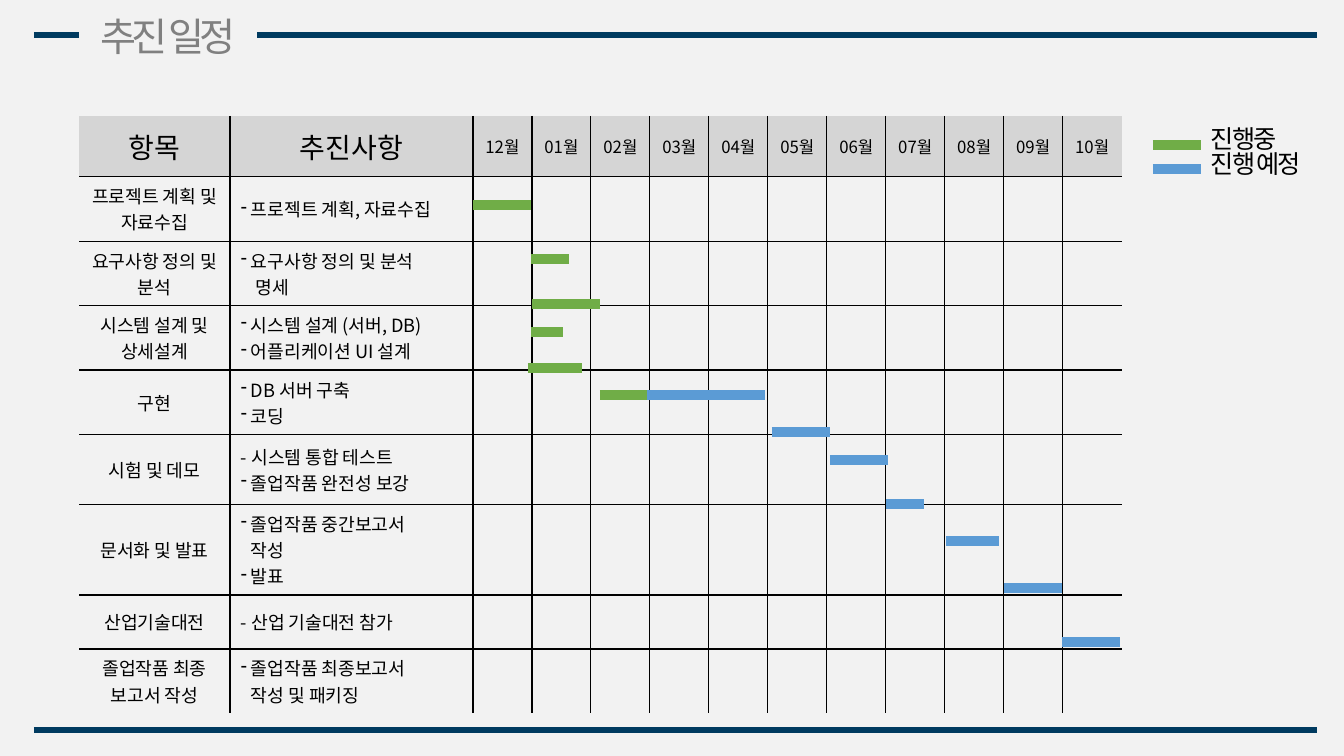
from lxml import etree
from pptx import Presentation
from pptx.dml.color import RGBColor
from pptx.enum.shapes import MSO_CONNECTOR, MSO_SHAPE
from pptx.enum.text import MSO_ANCHOR, PP_ALIGN
from pptx.oxml.ns import qn
from pptx.util import Pt

PX = 914400 / 100.8
FONT = "Noto Sans CJK KR"
LEFT, CENTER = PP_ALIGN.LEFT, PP_ALIGN.CENTER
MIDDLE, TOP = MSO_ANCHOR.MIDDLE, MSO_ANCHOR.TOP
STRAIGHT = MSO_CONNECTOR.STRAIGHT
RECTANGLE = MSO_SHAPE.RECTANGLE

PAPER, HEADER, BLACK, GRAY, NAVY = "F2F2F2", "D5D5D5", "000000", "808080", "003B60"
ONGOING, PLANNED = "70AD47", "5B9BD5"

TITLE = "추진 일정"
MONTHS = ["12월"] + [f"{month:02d}월" for month in range(1, 11)]
HEADINGS = ["항목", "추진사항"]
HEADER_HEIGHT = 58
BULLET, PLAIN, HANG, WIDE_HANG = ("-", 10), (None, 0), (None, 10), (None, 15)
TASKS = [
    (59, ["프로젝트 계획 및 자료수집"], [("프로젝트 계획, 자료수집", BULLET)]),
    (56, ["요구사항 정의 및 분석"], [("요구사항 정의 및 분석", BULLET), ("명세", WIDE_HANG)]),
    (61, ["시스템 설계 및 상세설계"],
     [("시스템 설계 (서버, DB)", BULLET), ("어플리케이션 UI 설계", BULLET)]),
    (64, ["구현"], [("DB 서버 구축", BULLET), ("코딩", BULLET)]),
    (70, ["시험 및 데모"], [("- 시스템 통합 테스트", PLAIN), ("졸업작품 완전성 보강", BULLET)]),
    (77, ["문서화 및 발표"],
     [("졸업작품 중간보고서", BULLET), ("작성", HANG), ("발표", BULLET)]),
    (54, ["산업기술대전"], [("- 산업 기술대전 참가", PLAIN)]),
    (64, ["졸업작품 최종", "보고서 작성"],
     [("졸업작품 최종보고서", BULLET), ("작성 및 패키징", HANG)]),
]
TABLE_LEFT, TABLE_TOP = 79, 116
COLUMNS = [151, 243] + [59] * len(MONTHS)
BARS = {
    ONGOING: [(473, 531, 205), (531, 569, 259), (532, 600, 304), (531, 563, 332),
              (528, 582, 368), (600, 734, 395)],
    PLANNED: [(647, 765, 395), (772, 830, 432), (830, 888, 460), (886, 924, 504),
              (946, 999, 541), (1004, 1062, 588), (1062, 1120, 642)],
}
LEGEND = [("진행중", ONGOING, 145), ("진행 예정", PLANNED, 169)]


def px(length):
    return round(length * PX)


def color(value):
    return RGBColor.from_string(value)


def write(frame, lines, size, ink=BLACK, align=LEFT, spacing=0):
    for index, line in enumerate(lines):
        paragraph = frame.paragraphs[0] if index == 0 else frame.add_paragraph()
        paragraph.text = line
        paragraph.alignment = align
        font = paragraph.font
        font.size, font.name, font.bold = Pt(size), FONT, False
        font.color.rgb = color(ink)
        properties = paragraph._p.pPr.find(qn("a:defRPr"))
        properties.set("spc", str(spacing))
        etree.SubElement(properties, qn("a:ea"), typeface=FONT)


def indent(paragraph, bullet, margin):
    properties = paragraph._p.get_or_add_pPr()
    properties.set("marL", str(px(margin)))
    properties.set("indent", str(-px(margin) if bullet else 0))
    if bullet:
        character = etree.Element(qn("a:buChar"), char=bullet)
        properties.find(qn("a:defRPr")).addprevious(character)


def set_insets(box, horizontal, vertical):
    box.margin_left = box.margin_right = px(horizontal)
    box.margin_top = box.margin_bottom = px(vertical)


def add_line(start, end, y, ink, width):
    line = slide.shapes.add_connector(STRAIGHT, px(start), px(y), px(end), px(y))
    line.line.color.rgb = color(ink)
    line.line.width = Pt(width)
    etree.SubElement(line._element.spPr, qn("a:effectLst"))


def set_borders(cell, sides):
    properties = cell._tc.get_or_add_tcPr()
    for side, visible in sides.items():
        border = etree.SubElement(properties, qn(f"a:ln{side}"), w=str(Pt(1)))
        if visible:
            fill = etree.SubElement(border, qn("a:solidFill"))
            etree.SubElement(fill, qn("a:srgbClr"), val=BLACK)
        else:
            etree.SubElement(border, qn("a:noFill"))


def add_schedule():
    heights = [HEADER_HEIGHT] + [height for height, _, _ in TASKS]
    table = slide.shapes.add_table(
        len(heights), len(COLUMNS), px(TABLE_LEFT), px(TABLE_TOP),
        px(sum(COLUMNS)), px(sum(heights))).table
    table.first_row = table.horz_banding = False
    for column, width in zip(table.columns, COLUMNS):
        column.width = px(width)
    for row, height in zip(table.rows, heights):
        row.height = px(height)
    last_row, last_column = len(heights) - 1, len(COLUMNS) - 1
    for r, row in enumerate(table.rows):
        for c, cell in enumerate(row.cells):
            set_borders(cell, {"L": c > 0, "R": c < last_column,
                               "T": r > 0, "B": r < last_row})
            set_insets(cell, 11, 6)
            cell.vertical_anchor = MIDDLE
            if r == 0:
                cell.fill.solid()
                cell.fill.fore_color.rgb = color(HEADER)
            else:
                cell.fill.background()
    for c, heading in enumerate(HEADINGS + MONTHS):
        size = 20 if c < len(HEADINGS) else 12
        write(table.cell(0, c).text_frame, [heading], size, align=CENTER)
    for r, (_, item, details) in enumerate(TASKS, 1):
        write(table.cell(r, 0).text_frame, item, 13, align=CENTER)
        frame = table.cell(r, 1).text_frame
        write(frame, [text for text, _ in details], 13)
        for paragraph, (_, layout) in zip(frame.paragraphs, details):
            indent(paragraph, *layout)


def add_title():
    add_line(34, 1317, 35, NAVY, 4)
    title = slide.shapes.add_shape(RECTANGLE, px(79), px(7), px(178), px(57))
    title.shadow.inherit = False
    title.fill.solid()
    title.fill.fore_color.rgb = color(PAPER)
    title.line.fill.background()
    frame = title.text_frame
    frame.vertical_anchor = MIDDLE
    set_insets(frame, 0, 0)
    write(frame, [TITLE], 28, GRAY, CENTER, -300)


def add_legend():
    frame = slide.shapes.add_textbox(px(1201), px(124), px(143), px(72)).text_frame
    frame.word_wrap = True
    frame.vertical_anchor = TOP
    set_insets(frame, 10, 5)
    write(frame, [label for label, _, _ in LEGEND], 18, spacing=-150)
    for paragraph in frame.paragraphs:
        paragraph.line_spacing = 0.82
    for _, ink, y in LEGEND:
        add_line(1153, 1201, y, ink, 7.75)


presentation = Presentation()
presentation.slide_width, presentation.slide_height = px(1344), px(756)
slide = presentation.slides.add_slide(presentation.slide_layouts[6])
slide.background.fill.solid()
slide.background.fill.fore_color.rgb = color(PAPER)

add_schedule()
for ink, bars in BARS.items():
    for start, end, y in bars:
        add_line(start, end, y, ink, 7.75)
add_title()
add_line(34, 1317, 730, NAVY, 4)
add_legend()
presentation.save("out.pptx")
